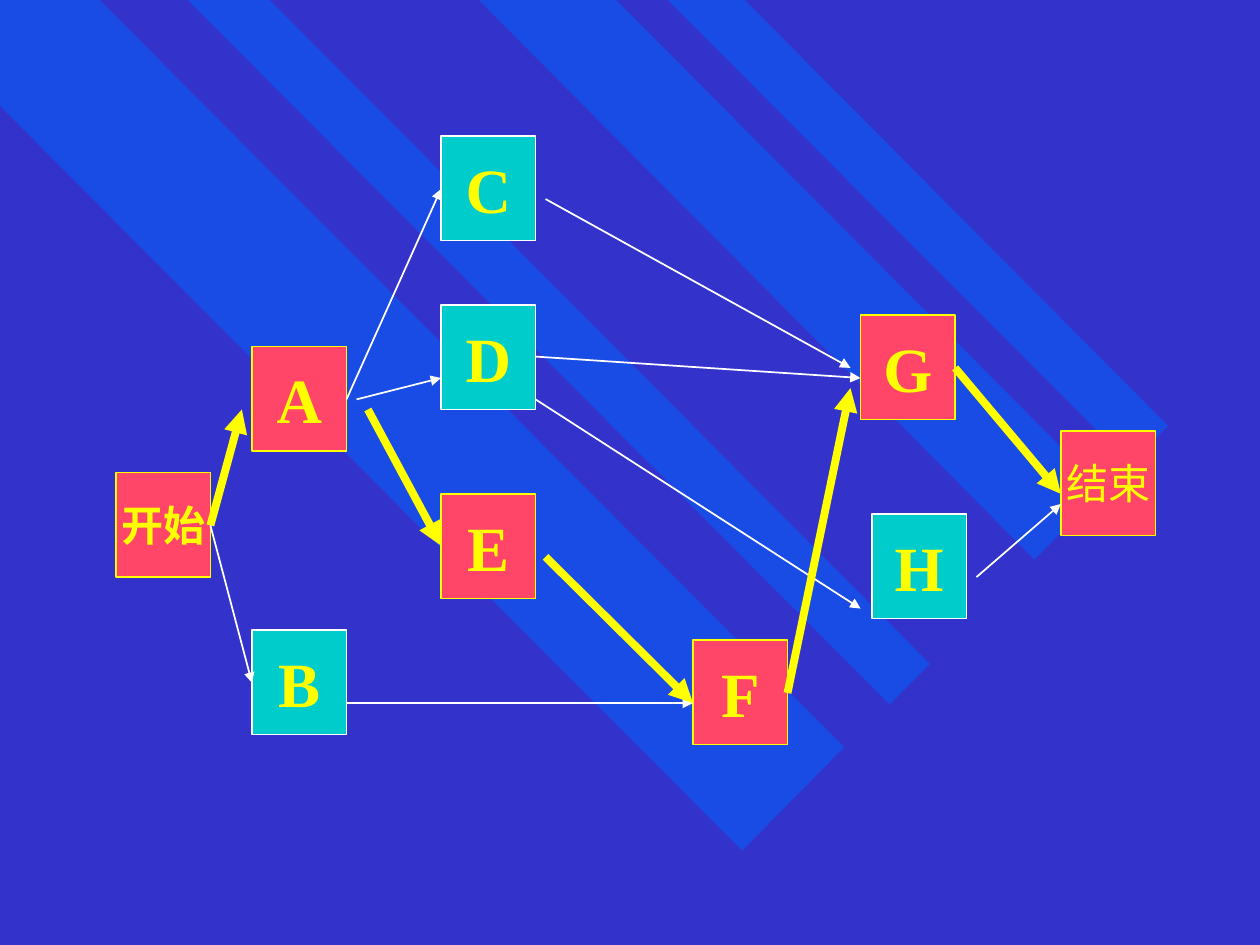
from lxml import etree
from pptx import Presentation
from pptx import util as u
from pptx.dml.color import RGBColor
from pptx.enum import shapes, text
from pptx.oxml import ns

BLUE = RGBColor(0x33, 0x33, 0xCC)
BAND = RGBColor(0x00, 0x66, 0xFF)
RED = RGBColor(0xFF, 0x45, 0x68)
TEAL = RGBColor(0x00, 0xCC, 0xCC)
GOLD = RGBColor(0xFF, 0xFF, 0x00)
WHITE = RGBColor(0xFF, 0xFF, 0xFF)


class Chart:
    font = "Times New Roman"
    width, height = u.Inches(0.75), u.Inches(0.83)

    def __init__(self, slide):
        self.slide = slide
        fill = slide.background.fill
        fill.solid()
        fill.fore_color.rgb = BLUE

    def band(self, points):
        first, *rest = [(u.Inches(x), u.Inches(y)) for x, y in points]
        pen = self.slide.shapes.build_freeform(*first)
        pen.add_line_segments(rest, close=True)
        shape = pen.convert_to_shape()
        shape.shadow.inherit = False
        shape.line.fill.background()
        shape.fill.solid()
        shape.fill.fore_color.rgb = BAND
        color = shape.fill._xPr.find(".//" + ns.qn("a:srgbClr"))
        etree.SubElement(color, ns.qn("a:alpha"), val="50000")

    def node(self, name, left, top, main, size=36, bold=True):
        box = self.slide.shapes.add_shape(
            shapes.MSO_SHAPE.RECTANGLE, u.Inches(left), u.Inches(top),
            self.width, self.height)
        box.shadow.inherit = False
        box.fill.solid()
        box.fill.fore_color.rgb = RED if main else TEAL
        box.line.color.rgb = GOLD if main else WHITE
        box.line.width = u.Pt(1)
        frame = box.text_frame
        frame.word_wrap = False
        frame.vertical_anchor = text.MSO_ANCHOR.MIDDLE
        para = frame.paragraphs[0]
        para.text = name
        para.alignment = text.PP_ALIGN.CENTER
        para.font.name = self.font
        para.font.size = u.Pt(size)
        para.font.bold = bold
        para.font.color.rgb = GOLD

    def arrow(self, start, end, main):
        link = self.slide.shapes.add_connector(
            shapes.MSO_CONNECTOR.STRAIGHT,
            *[u.Inches(n) for n in start + end])
        link.line.color.rgb = GOLD if main else WHITE
        link.line.width = u.Pt(4.5 if main else 1)
        line = link.line._get_or_add_ln()
        etree.SubElement(line, ns.qn("a:tailEnd"), type="triangle")
        etree.SubElement(link._element.spPr, ns.qn("a:effectLst"))


BANDS = [
    [(6.7, 5.93), (0.79, 0), (0, 0), (0, 0.84), (5.89, 6.75)],
    [(2.14, 0), (7.38, 5.27), (7.06, 5.59), (1.49, 0)],
    [(4.89, 0), (8.76, 3.89), (8.21, 4.44), (3.8, 0)],
    [(5.3, 0), (8.97, 3.68), (9.27, 3.38), (5.91, 0)],
]
NODES = [
    ("开始", 0.92, 3.75, True, 24),
    ("A", 2, 2.75, True),
    ("B", 2, 5, False),
    ("E", 3.5, 3.92, True),
    ("D", 3.5, 2.42, False),
    ("C", 3.5, 1.08, False),
    ("F", 5.5, 5.08, True),
    ("G", 6.83, 2.5, True),
    ("H", 6.92, 4.08, False),
    ("结束", 8.42, 3.42, True, 24, False),
]
ARROWS = [
    ((1.67, 4.17), (1.92, 3.25), True),
    ((1.67, 4.17), (2, 5.42), False),
    ((2.75, 3.17), (3.5, 1.5), False),
    ((2.83, 3.17), (3.5, 3), False),
    ((2.92, 3.25), (3.5, 4.33), True),
    ((2.75, 5.58), (5.5, 5.58), False),
    ((4.33, 4.42), (5.5, 5.58), True),
    ((4.33, 1.58), (6.75, 2.92), False),
    ((4.25, 3.17), (6.83, 4.83), False),
    ((4.25, 2.83), (6.83, 3), False),
    ((6.25, 5.5), (6.75, 3.08), True),
    ((7.58, 2.92), (8.42, 3.92), True),
    ((7.75, 4.58), (8.42, 4), False),
]


def main():
    deck = Presentation()
    deck.slide_width, deck.slide_height = u.Inches(10), u.Inches(7.5)
    chart = Chart(deck.slides.add_slide(deck.slide_layouts[6]))
    for points in BANDS:
        chart.band(points)
    for node in NODES:
        chart.node(*node)
    for arrow in ARROWS:
        chart.arrow(*arrow)
    deck.save("out.pptx")


if __name__ == "__main__":
    main()
